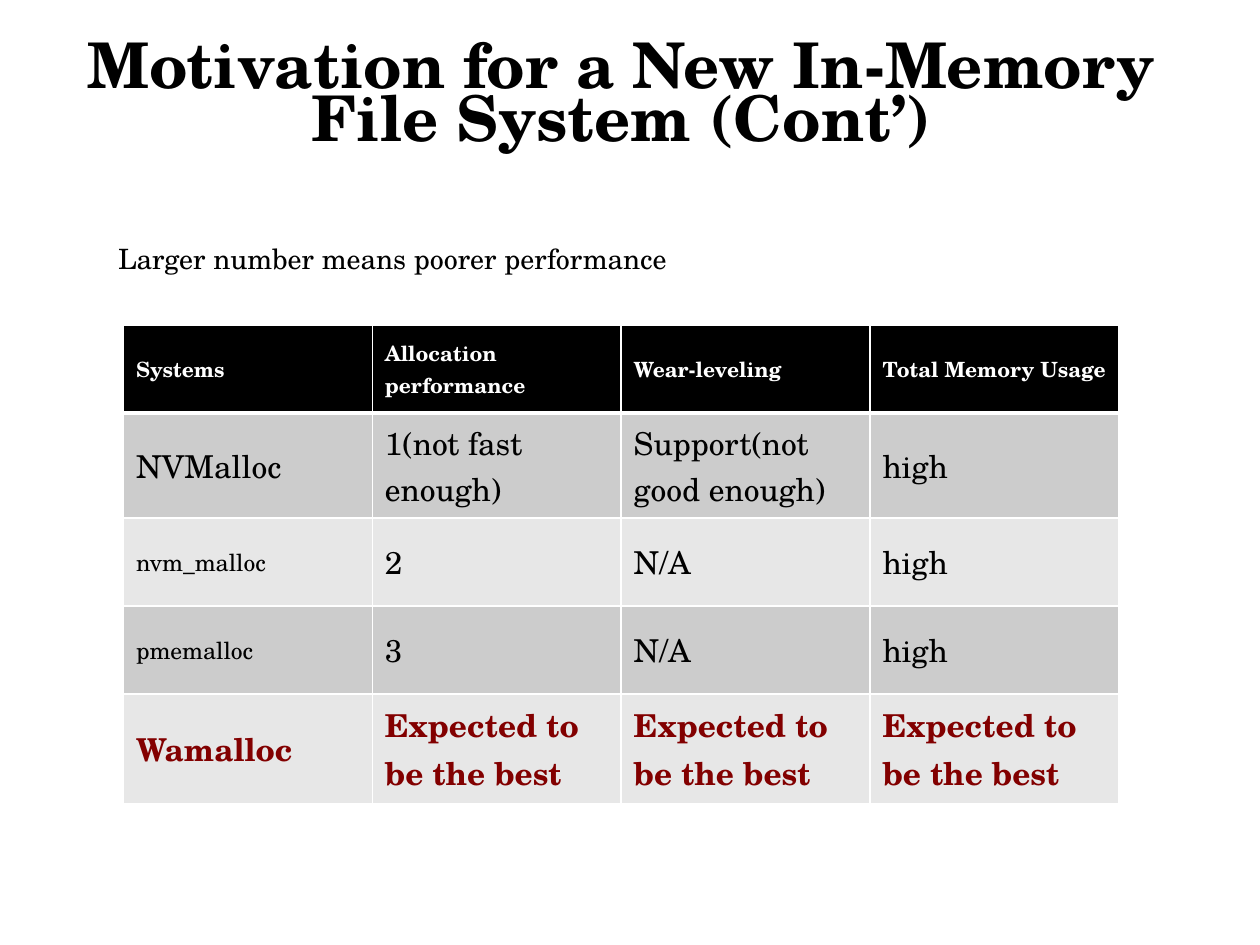
"""Build the slide comparing memory allocators for a new in-memory file system."""
from lxml import etree
from pptx import Presentation
from pptx import util as u
from pptx.dml.color import RGBColor
from pptx.enum import text
from pptx.oxml.ns import qn

TITLE = "Motivation for a New In-Memory File System (Cont’)"
NOTE = "Larger number means poorer performance"
BEST = "Expected to be the best"
ROWS = [
    ("Systems", "Allocation performance", "Wear-leveling", "Total Memory Usage"),
    ("NVMalloc", "1(not fast enough)", "Support(not good enough)", "high"),
    ("nvm_malloc", "2", "N/A", "high"),
    ("pmemalloc", "3", "N/A", "high"),
    ("Wamalloc", BEST, BEST, BEST),
]
SMALL_NAMES = {"nvm_malloc", "pmemalloc"}

BLACK = RGBColor(0, 0, 0)
WHITE = RGBColor(255, 255, 255)
DARK_RED = RGBColor(0x82, 0, 0)
BANDS = (RGBColor(0xE7, 0xE7, 0xE7), RGBColor(0xCC, 0xCC, 0xCC))
FONT = "TeX Gyre Schola"

TITLE_BOX = (0.2, 0.24, 9.46, 1.1)
NOTE_BOX = (-0.71, 1.87, 7.65, 0.71)
TABLE_BOX = (0.98, 2.58, 7.9, 3.49)


def write(tf, words, size, color=BLACK, bold=False, align=None, spacing=None):
    p = tf.paragraphs[0]
    p.alignment, p.line_spacing = align, spacing
    r = p.add_run()
    r.text = words
    r.font.color.rgb = color
    for name, value in {"name": FONT, "size": u.Pt(size), "bold": bold}.items():
        setattr(r.font, name, value)


def add_borders(cell, widths):
    tcPr = cell._tc.get_or_add_tcPr()
    for i, (side, width) in enumerate(widths.items()):
        ln = etree.Element(qn(f"a:{side}"), w=str(u.Pt(width)))
        fill = etree.SubElement(ln, qn("a:solidFill"))
        etree.SubElement(fill, qn("a:srgbClr"), val=str(WHITE))
        tcPr.insert(i, ln)


def cell_format(row, words):
    if row == 0:
        return {"size": 12, "color": WHITE, "bold": True}
    if row == len(ROWS) - 1:
        return {"size": 18, "color": DARK_RED, "bold": True}
    return {"size": 13.5 if words in SMALL_NAMES else 18}


def add_allocator_table(s):
    box = map(u.Inches, TABLE_BOX)
    table = s.shapes.add_table(len(ROWS), len(ROWS[0]), *box).table
    for row, values in enumerate(ROWS):
        for col, words in enumerate(values):
            cell = table.cell(row, col)
            cell.vertical_anchor = text.MSO_ANCHOR.MIDDLE
            cell.fill.solid()
            cell.fill.fore_color.rgb = BANDS[row % 2] if row else BLACK
            add_borders(cell, {"lnL": 1, "lnR": 1,
                               "lnT": 3 if row == 1 else 1,
                               "lnB": 1 if row else 3})
            write(cell.text_frame, words, **cell_format(row, words))


def main():
    prs = Presentation()
    prs.slide_width, prs.slide_height = u.Inches(10), u.Inches(7.5)
    s = prs.slides.add_slide(prs.slide_layouts[5])

    title = s.shapes.title
    for name, value in zip(("left", "top", "width", "height"), TITLE_BOX):
        setattr(title, name, u.Inches(value))
    tf = title.text_frame
    tf.auto_size = text.MSO_AUTO_SIZE.NONE
    tf.vertical_anchor = text.MSO_ANCHOR.MIDDLE
    write(tf, TITLE, 36, bold=True, align=text.PP_ALIGN.CENTER, spacing=0.7)

    add_allocator_table(s)

    note = s.shapes.add_textbox(*map(u.Inches, NOTE_BOX))
    note.text_frame.word_wrap = True
    write(note.text_frame, NOTE, 16, align=text.PP_ALIGN.CENTER)

    prs.save("out.pptx")


if __name__ == "__main__":
    main()
